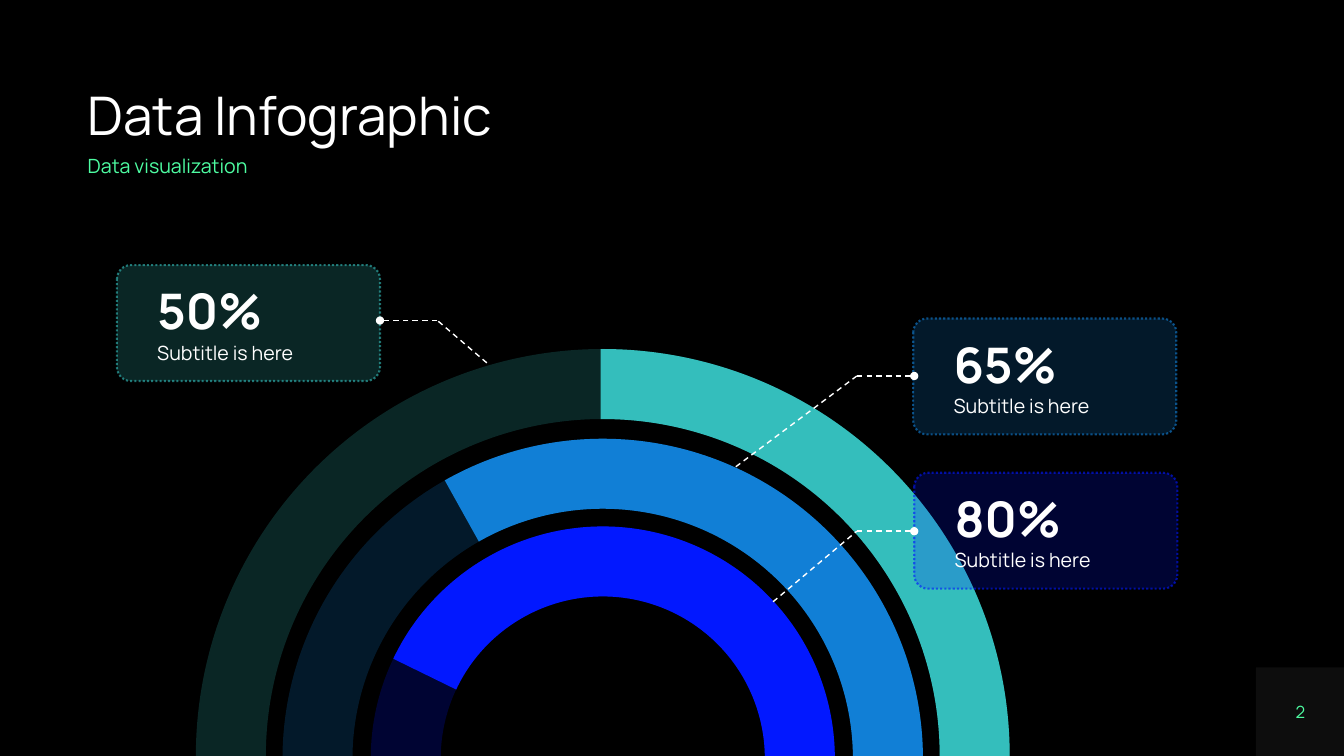
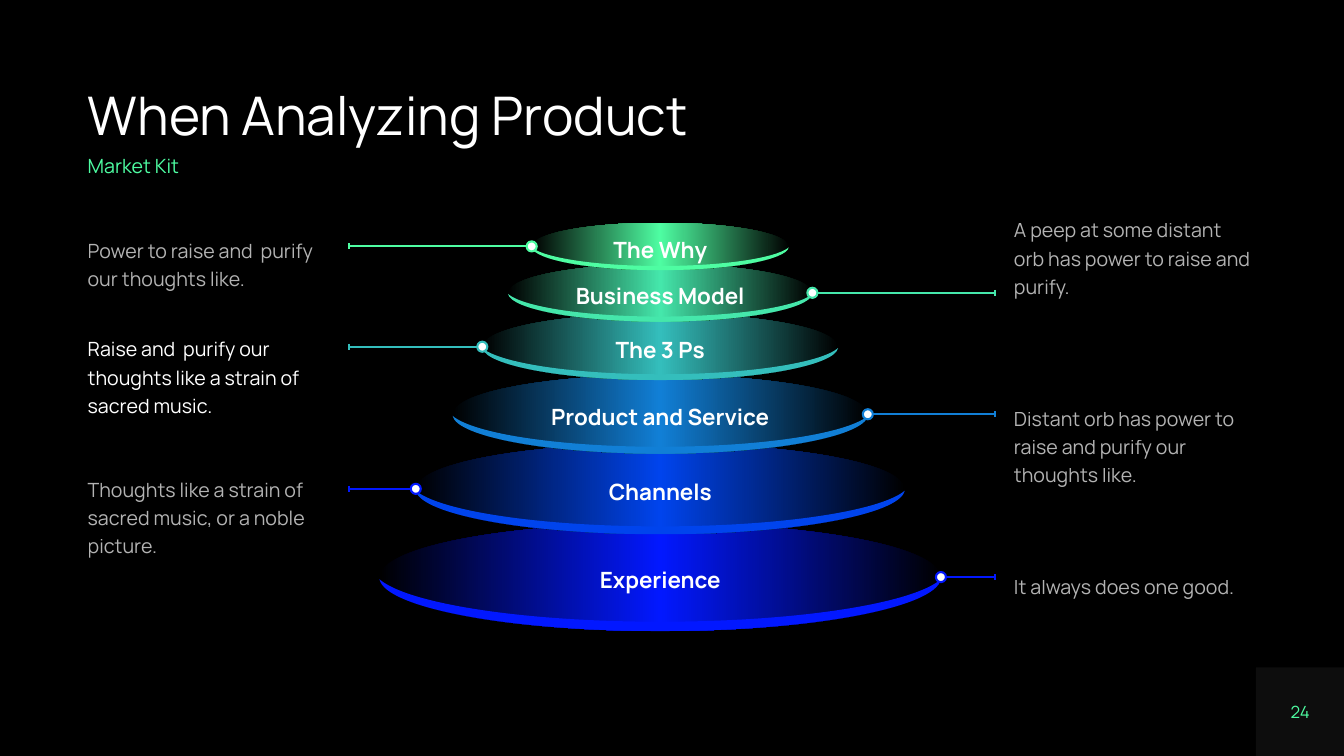
from copy import deepcopy
from itertools import pairwise

from lxml import etree
from pptx import Presentation
from pptx.dml.color import RGBColor
from pptx.enum.dml import MSO_LINE
from pptx.enum.shapes import MSO_CONNECTOR, MSO_SHAPE
from pptx.enum.text import MSO_ANCHOR, MSO_AUTO_SIZE, PP_ALIGN
from pptx.oxml.ns import qn
from pptx.util import Inches, Pt

ARC, OVAL = MSO_SHAPE.ARC, MSO_SHAPE.OVAL
RECTANGLE, ROUNDED = MSO_SHAPE.RECTANGLE, MSO_SHAPE.ROUNDED_RECTANGLE
STRAIGHT = MSO_CONNECTOR.STRAIGHT
DASH, DOTS = MSO_LINE.DASH, MSO_LINE.ROUND_DOT
TOP, MIDDLE = MSO_ANCHOR.TOP, MSO_ANCHOR.MIDDLE
LEFT, CENTER = PP_ALIGN.LEFT, PP_ALIGN.CENTER
FIXED, GROW = MSO_AUTO_SIZE.NONE, MSO_AUTO_SIZE.SHAPE_TO_FIT_TEXT

FONT = "Manrope"
BLACK, WHITE, GRAY = "000000", "FFFFFF", "808080"
MINT, JADE, TEAL = "4EFDA2", "45E7AB", "34BEBC"
SKY, ROYAL, BLUE = "117FD6", "0044ED", "0218FF"

RING_CENTER = 5.98
# Diameter, top, colour, angle where the filled part starts
RINGS = [
    (7.38, 3.81, TEAL, 269.66),
    (5.66, 4.7, SKY, 240.4),
    (3.91, 5.57, BLUE, 205.35),
]
# Left, top, colour, value, leader points from ring to callout
CALLOUTS = [
    (1.16, 2.63, TEAL, "50%", [(4.83, 3.6), (4.34, 3.18), (3.77, 3.18)]),
    (9.06, 3.16, SKY, "65%", [(7.3, 4.63), (8.5, 3.73), (9.07, 3.73)]),
    (9.07, 4.69, BLUE, "80%", [(7.67, 5.97), (8.5, 5.27), (9.07, 5.27)]),
]

TIER_CENTER = 6.55
LEFT_TICK, RIGHT_TICK = 3.46, 9.87
LEFT_NOTE, RIGHT_NOTE = 0.87, 10.06
# Label, top, width, height, colour, leader colour,
# note top, note height, note, note opacity
TIERS = [
    ("Experience", 5.19, 5.57, 1.07, BLUE, BLUE,
     5.66, 0.55, "It always does one good.", 70),
    ("Channels", 4.4, 4.85, 0.9, ROYAL, BLUE,
     4.69, 0.83, "Thoughts like a strain of sacred music, or a noble picture.", 70),
    ("Product and Service", 3.72, 4.12, 0.78, SKY, SKY,
     3.99, 0.83, "Distant orb has power to raise and purify our thoughts like.", 70),
    ("The 3 Ps", 3.11, 3.53, 0.66, TEAL, TEAL,
     3.3, 0.83, "Raise and  purify our thoughts like a strain of sacred music.", 100),
    ("Business Model", 2.62, 3.02, 0.57, JADE, JADE,
     2.12, 0.83, "A peep at some distant \vorb has power to raise and purify.", 70),
    ("The Why", 2.21, 2.55, 0.47, MINT, MINT,
     2.32, 0.55, "Power to raise and  purify our thoughts like.", 70),
]
# Bezier points of the rim, as shares of half the tier width and of the rim depth
RIM_SHARE = 0.48
RIM_OUTER = [(1, 0), (0.98, 0.55), (0.54, 1), (0, 1)]
RIM_INNER = [(1, 0), (0.9, 0.47), (0.49, 0.82), (0, 0.82)]


def paint(fill, color, opacity=100):
    fill.solid()
    fill.fore_color.rgb = RGBColor.from_string(color)
    if opacity < 100:
        srgb = fill._xPr.find(f"{qn('a:solidFill')}/{qn('a:srgbClr')}")
        etree.SubElement(srgb, qn("a:alpha"), val=str(opacity * 1000))


def stroke(line, color, width, opacity=100, dash=None):
    paint(line.fill, color, opacity)
    line.width = Pt(width)
    if dash:
        line.dash_style = dash


def place(shape, *box):
    for side, value in zip(("left", "top", "width", "height"), box):
        setattr(shape, side, Inches(value))


def write(frame, *lines, anchor=TOP, align=LEFT, spacing=1.0, gap=0,
          insets=(0, 0), wrap=True, fit=GROW):
    """Fill a frame with (text, size, color, bold, opacity) lines."""
    settings = {
        "word_wrap": wrap, "auto_size": fit, "vertical_anchor": anchor,
        "margin_left": Inches(insets[0]), "margin_top": Inches(insets[1]),
        "margin_right": 0, "margin_bottom": 0,
    }
    for key, value in settings.items():
        setattr(frame, key, value)
    for index, (text, size, color, bold, opacity) in enumerate(lines):
        paragraph = frame.add_paragraph() if index else frame.paragraphs[0]
        paragraph.text = text
        paragraph.alignment = align
        paragraph.line_spacing = spacing
        paragraph.space_before = Pt(gap if index else 0)
        for run in paragraph.runs:
            run.font.name, run.font.size, run.font.bold = FONT, Pt(size), bold
            paint(run.font.fill, color, opacity)


def add_shape(slide, kind, *box):
    """Add a preset shape without shadow, fill or line."""
    shape = slide.shapes.add_shape(kind, *map(Inches, box))
    shape.shadow.inherit = False
    shape.fill.background()
    shape.line.fill.background()
    return shape


def add_line(slide, start, end, color, width, dash=None, dot_end=False):
    connector = slide.shapes.add_connector(
        STRAIGHT, *map(Inches, (*start, *end)))
    stroke(connector.line, color, width, dash=dash)
    properties = connector._element.spPr
    etree.SubElement(properties, qn("a:effectLst"))
    if dot_end:
        etree.SubElement(properties.find(qn("a:ln")), qn("a:tailEnd"), type="oval")


def add_text(slide, box, line, **layout):
    textbox = slide.shapes.add_textbox(*map(Inches, box))
    write(textbox.text_frame, line, **layout)


def dress_layout(slide):
    """Give the slide's layout the dark background and the page corner."""
    layout = slide.slide_layout
    paint(layout.background.fill, BLACK)
    corner = add_shape(slide, RECTANGLE, 12.46, 6.62, 0.88, 0.88)
    paint(corner.fill, GRAY, 10)
    corner._element.nvSpPr.cNvPr.set("id", "99")
    layout.shapes._spTree.append(corner._element)


def add_slide(deck, title, subtitle, number):
    slide = deck.slides.add_slide(deck.slide_layouts[0])
    heading, subheading = slide.shapes.title, slide.placeholders[1]
    place(heading, 0.87, 0.89, 11.59, 0.58)
    write(heading.text_frame, (title, 38, WHITE, False, 100), spacing=0.9)
    place(subheading, 0.87, 1.55, 2.1, 0.21)
    write(subheading.text_frame, (subtitle, 14, MINT, False, 100), spacing=0.9)
    add_text(slide, (12.78, 6.96, 0.24, 0.2), (number, 12, MINT, False, 100),
             anchor=MIDDLE, align=CENTER, wrap=False)
    return slide


def add_ring(slide, diameter, top, color, fill_start):
    left = RING_CENTER - diameter / 2
    for start, opacity in ((180, 20), (fill_start, 100)):
        arc = add_shape(slide, ARC, left, top, diameter, diameter)
        # Arc angles are stored in 60000ths of a degree, scaled by 100000
        arc.adjustments[0] = start * 0.6
        arc.adjustments[1] = 0
        stroke(arc.line, color, 50, opacity)


def add_callout(slide, left, top, color, value, leader):
    card = add_shape(slide, ROUNDED, left, top, 2.61, 1.15)
    card.adjustments[0] = 0.12
    paint(card.fill, color, 20)
    stroke(card.line, color, 1.5, 60, DOTS)
    write(card.text_frame, (value, 35, WHITE, True, 100),
          ("Subtitle is here", 14, WHITE, False, 100),
          anchor=MIDDLE, spacing=0.8, gap=4, insets=(0.36, 0.1), fit=FIXED)
    for start, end in pairwise(leader):
        add_line(slide, start, end, WHITE, 1, DASH, dot_end=end == leader[-1])


def fill_glow(shape, color):
    """Fade from black at both sides to the colour in the middle."""
    shape.fill.gradient()
    shape.fill.gradient_angle = 0
    stops = shape._element.spPr.find(f".//{qn('a:gsLst')}")
    stops.insert(1, deepcopy(stops[0]))
    glow = ((0, BLACK), (0.5, color), (1, BLACK))
    for stop, (position, tone) in zip(shape.fill.gradient_stops, glow):
        stop.position = position
        stop.color.rgb = RGBColor.from_string(tone)


def bend(freeform):
    """Turn every three line segments into one Bezier curve."""
    segments = list(freeform._element.iter(qn("a:lnTo")))
    for index in range(0, len(segments), 3):
        first, *others = segments[index:index + 3]
        first.tag = qn("a:cubicBezTo")
        for other in others:
            first.append(other[0])
            other.getparent().remove(other)


def add_rim(slide, bottom, width, depth, color):
    outline = (RIM_OUTER + [(-x, y) for x, y in RIM_OUTER[-2::-1]]
               + [(-x, y) for x, y in RIM_INNER[1:]] + RIM_INNER[-2::-1])
    points = [(Inches(TIER_CENTER + x * width / 2),
               Inches(bottom - depth + y * depth)) for x, y in outline]
    builder = slide.shapes.build_freeform(*points[0])
    builder.add_line_segments(points[1:], close=False)
    rim = builder.convert_to_shape()
    bend(rim)
    rim.shadow.inherit = False
    paint(rim.fill, color)
    rim.line.fill.background()


def add_leader(slide, edge, tick, y, color):
    """Join a dot on the tier edge to a short upright tick."""
    add_line(slide, (edge, y), (tick, y), color, 1.5)
    add_line(slide, (tick, y - 0.03), (tick, y + 0.03), color, 1.5)
    dot = add_shape(slide, OVAL, edge - 0.05, y - 0.05, 0.1, 0.1)
    paint(dot.fill, WHITE)
    stroke(dot.line, color, 1.5)


def add_tier(slide, label, top, width, height, color):
    disc = add_shape(slide, OVAL, TIER_CENTER - width / 2, top, width, height)
    fill_glow(disc, color)
    write(disc.text_frame, (label, 16, WHITE, True, 100),
          anchor=MIDDLE, align=CENTER, spacing=1.2, fit=FIXED)
    add_rim(slide, top + height, width, RIM_SHARE * height, color)


def build_rings(deck):
    slide = add_slide(deck, "Data Infographic", "Data visualization", "2")
    dress_layout(slide)
    for ring in RINGS:
        add_ring(slide, *ring)
    for callout in CALLOUTS:
        add_callout(slide, *callout)


def build_tiers(deck):
    slide = add_slide(deck, "When Analyzing Product", "Market Kit", "24")
    for index, tier in enumerate(TIERS):
        label, top, width, height, color, leader, *note = tier
        note_top, note_height, text, opacity = note
        add_tier(slide, label, top, width, height, color)
        if index % 2:
            side, tick, note_left = -1, LEFT_TICK, LEFT_NOTE
        else:
            side, tick, note_left = 1, RIGHT_TICK, RIGHT_NOTE
        edge = TIER_CENTER + side * width / 2
        add_leader(slide, edge, tick, top + height / 2, leader)
        add_text(slide, (note_left, note_top, 2.43, note_height),
                 (text, 14, WHITE, False, opacity), spacing=1.2)


def main():
    deck = Presentation()
    deck.slide_width, deck.slide_height = Inches(40 / 3), Inches(7.5)
    build_rings(deck)
    build_tiers(deck)
    deck.save("out.pptx")


if __name__ == "__main__":
    main()
